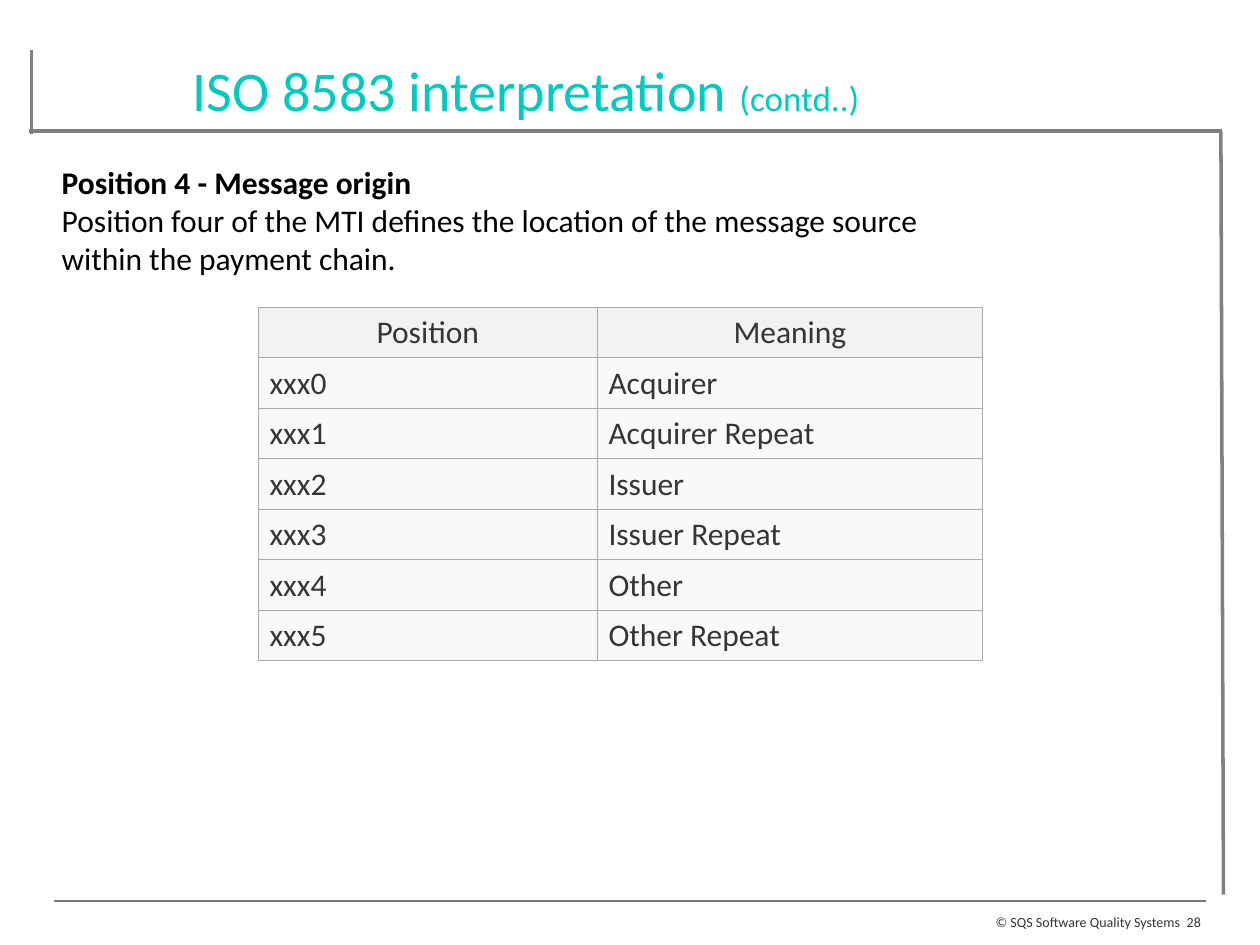
from lxml.etree import SubElement
from pptx import Presentation
from pptx.dml.color import RGBColor
from pptx.enum.shapes import MSO_CONNECTOR as LineKind
from pptx.enum.text import MSO_ANCHOR as Anchor, PP_ALIGN as Align
from pptx.oxml.ns import qn
from pptx.util import Inches, Pt

COLORS = {"title": "00CBC0", "frame": "808080", "rule": "777777",
          "body": "000000", "text": "353535", "border": "AAAAAA",
          "header": "F2F2F2", "row": "F9F9F9"}
FONT = "Calibri"

deck = Presentation()
deck.slide_width, deck.slide_height = Inches(10), Inches(7.5)
page = deck.slides.add_slide(deck.slide_layouts[6])

# Grid of 100 columns by 75 rows
UNIT = deck.slide_width / 100


def grid(*steps):
    return [round(step * UNIT) for step in steps]


def write(frame, lines, size, color, align=Align.LEFT, spacing=None):
    for index, line in enumerate(lines):
        para = frame.paragraphs[0] if index == 0 else frame.add_paragraph()
        para.add_run().text = line
        para.alignment = align
        para.line_spacing = spacing
        para.font.name, para.font.size = FONT, Pt(size)
        para.font.color.rgb = RGBColor.from_string(COLORS[color])


# Footer rule and the frame around the page
for ends, color, weight in [
    ((4.3, 71.5, 95.7, 71.5), "rule", 0.75),
    ((2.3, 10.4, 97, 10.4), "frame", 2),
    ((2.5, 10.6, 2.5, 4), "frame", 2),
    ((96.9, 10.4, 97.1, 71), "frame", 2),
]:
    line = page.shapes.add_connector(LineKind.STRAIGHT, *grid(*ends))
    line.line.color.rgb = RGBColor.from_string(COLORS[color])
    line.line.width = Pt(weight)
    SubElement(line._element.spPr, qn("a:effectLst"))

# Title, with a smaller suffix
title = page.shapes.add_textbox(*grid(0, 3.6, 83.5, 7.9)).text_frame
title.word_wrap = True
title.margin_top = Inches(0.08)
write(title, ["ISO 8583 interpretation "], 32, "title", Align.CENTER)
suffix = title.paragraphs[0].add_run()
suffix.text = "(contd..)"
suffix.font.size = Pt(20)

# Table of message origins
rows = [("Position", "Meaning"), ("xxx0", "Acquirer"),
        ("xxx1", "Acquirer Repeat"), ("xxx2", "Issuer"),
        ("xxx3", "Issuer Repeat"), ("xxx4", "Other"), ("xxx5", "Other Repeat")]
table = page.shapes.add_table(len(rows), 2, *grid(20.5, 24.4, 57.5, 28)).table
for column, width in zip(table.columns, grid(26.9, 30.6)):
    column.width = width
for r, texts in enumerate(rows):
    for c, text in enumerate(texts):
        cell = table.cell(r, c)
        cell.vertical_anchor = Anchor.MIDDLE
        cell.margin_left = cell.margin_right = Inches(0.09)
        cell.margin_top = cell.margin_bottom = Inches(0.05)
        write(cell.text_frame, [text], 18, "text",
              Align.LEFT if r else Align.CENTER)
        for side in ("a:lnL", "a:lnR", "a:lnT", "a:lnB"):
            edge = SubElement(cell._tc.get_or_add_tcPr(), qn(side),
                              w=str(Pt(0.75)))
            paint = SubElement(edge, qn("a:solidFill"))
            SubElement(paint, qn("a:srgbClr"), val=COLORS["border"])
        cell.fill.solid()
        cell.fill.fore_color.rgb = RGBColor.from_string(
            COLORS["row" if r else "header"])

# Introduction and footer
for place, lines, size, color, align, spacing in [
    ((4.9, 12.9, 69.4, 9.6),
     ["Position 4 - Message origin",
      "Position four of the MTI defines the location of the message source",
      "within the payment chain."], 18, "body", Align.LEFT, None),
    ((4.3, 72.6, 89.4, 1.5), ["© SQS Software Quality Systems"],
     8, "text", Align.RIGHT, 0.95),
    ((93.8, 72.6, 1.9, 1.4), ["28"], 8, "text", Align.CENTER, 0.95),
]:
    box = page.shapes.add_textbox(*grid(*place))
    frame = box.text_frame
    frame.word_wrap = True
    frame.margin_left = frame.margin_right = 0
    frame.margin_top = frame.margin_bottom = 0
    write(frame, lines, size, color, align, spacing)
    if len(lines) > 1:
        frame.word_wrap = False
        frame.vertical_anchor = Anchor.MIDDLE
        frame.margin_bottom = Inches(0.05)
        frame.paragraphs[0].font.bold = True

deck.save("out.pptx")
